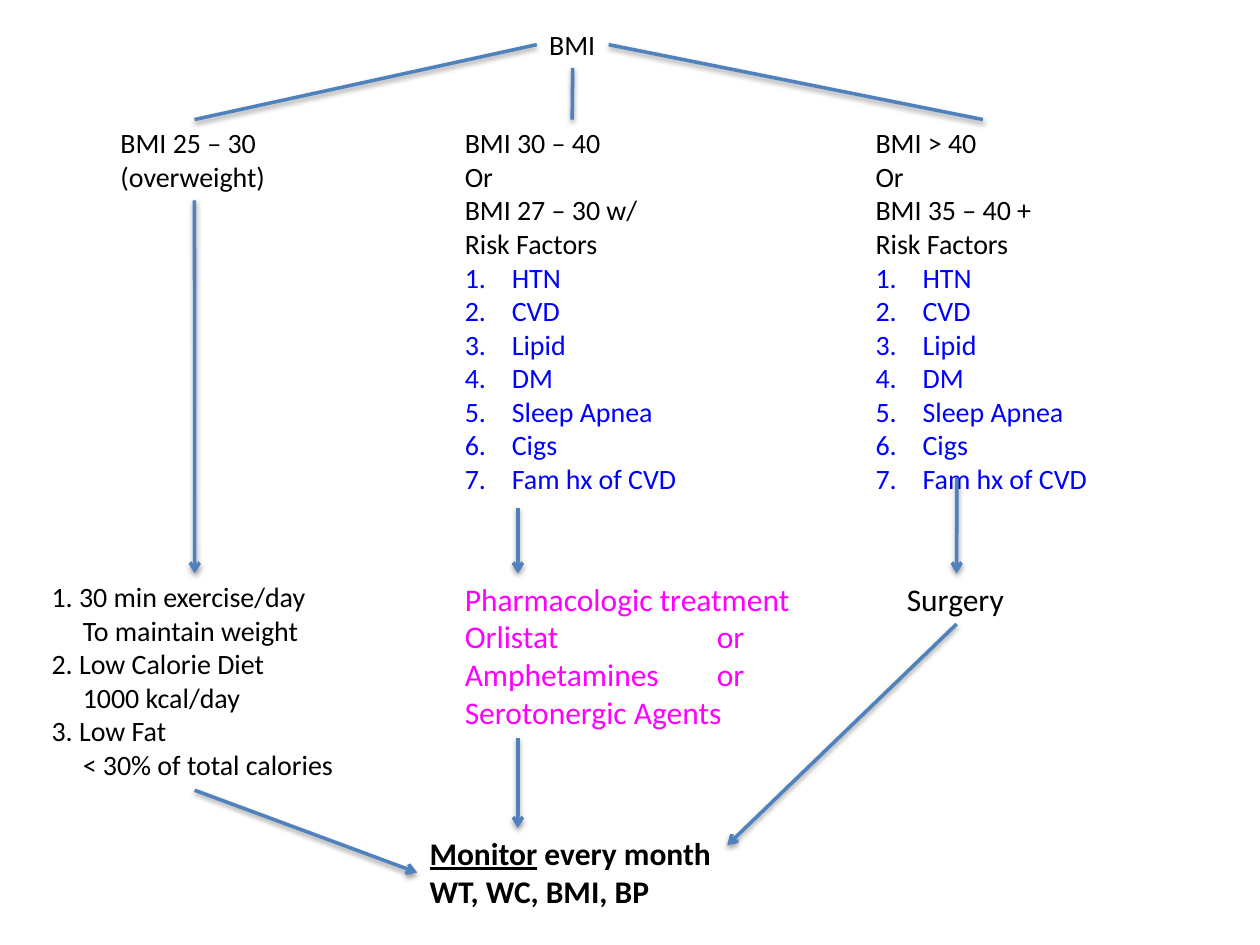
"""Build a one-slide flow chart of weight management by BMI class."""
from typing import NamedTuple, Optional, Union

from lxml import etree
from pptx import Presentation
from pptx.dml.color import RGBColor
from pptx.enum.shapes import MSO_CONNECTOR
from pptx.enum.text import MSO_AUTO_SIZE
from pptx.oxml.ns import qn
from pptx.util import Cm, Pt

STRAIGHT = MSO_CONNECTOR.STRAIGHT
FIT_TEXT = MSO_AUTO_SIZE.SHAPE_TO_FIT_TEXT
TOP, LEFT, BOTTOM, RIGHT = range(4)
BLACK, BLUE, MAGENTA, STEEL = "000000", "0000FF", "FF00FF", "4F81BD"
CLASS_TOP, TREATMENT_TOP, MONITOR_TOP = 2.41, 11.56, 16.69
DRUG_LEFT, DRUG_ARROW = 9.12, 10.44
NUMBER_INDENT, DETAIL_INDENT, OR_TAB = 0.95, 0.63, 5.08


class Line(NamedTuple):
    text: str
    color: str = BLACK
    indent: float = 0
    numbered: bool = False
    tab: float = 0
    bold: bool = False
    underlined_lead: str = ""


class Step(NamedTuple):
    left: float
    top: float
    width: float
    height: float
    lines: list[Line]
    size: int = 16


class Side(NamedTuple):
    step: str
    index: int


class Point(NamedTuple):
    x: float
    y: float


class Link(NamedTuple):
    start: Union[Side, Point]
    end: Union[Side, Point]
    arrow: bool = True


RISK_FACTORS = [
    Line(name, BLUE, NUMBER_INDENT, numbered=True)
    for name in ("HTN", "CVD", "Lipid", "DM", "Sleep Apnea", "Cigs", "Fam hx of CVD")
]


def plain(*texts: str) -> list[Line]:
    """Return black lines without indent."""
    return [Line(text) for text in texts]


STEPS = {
    "bmi": Step(10.82, 0.43, 1.45, 0.94, plain("BMI")),
    "overweight": Step(2.18, CLASS_TOP, 3.48, 1.63, plain("BMI 25 – 30", "(overweight)")),
    "obese": Step(
        DRUG_LEFT, CLASS_TOP, 4.83, 8.46,
        plain("BMI 30 – 40", "Or", "BMI 27 – 30 w/", "Risk Factors") + RISK_FACTORS),
    "severe": Step(
        17.4, CLASS_TOP, 4.83, 8.46,
        plain("BMI > 40", "Or", "BMI 35 – 40 +", "Risk Factors") + RISK_FACTORS),
    "lifestyle": Step(0.79, TREATMENT_TOP, 6.27, 4.37, [
        Line("1. 30 min exercise/day"),
        Line("To maintain weight", indent=DETAIL_INDENT),
        Line("2. Low Calorie Diet"),
        Line("1000 kcal/day", indent=DETAIL_INDENT),
        Line("3. Low Fat"),
        Line("< 30% of total calories", indent=DETAIL_INDENT),
    ]),
    "surgery": Step(18.03, TREATMENT_TOP, 2.51, 1.02, plain("Surgery"), 18),
    "drugs": Step(DRUG_LEFT, TREATMENT_TOP, 7.16, 3.33, [
        Line("Pharmacologic treatment", MAGENTA),
        Line("Orlistat\tor", MAGENTA, tab=OR_TAB),
        Line("Amphetamines\tor", MAGENTA, tab=OR_TAB),
        Line("Serotonergic Agents", MAGENTA),
    ], 18),
    "monitor": Step(8.41, MONITOR_TOP, 6.27, 1.8, [
        Line(" every month", bold=True, underlined_lead="Monitor"),
        Line("WT, WC, BMI, BP", bold=True),
    ], 18),
}

LINKS = [
    Link(Side("bmi", LEFT), Side("overweight", TOP), arrow=False),
    Link(Side("bmi", BOTTOM), Side("obese", TOP), arrow=False),
    Link(Side("bmi", RIGHT), Side("severe", TOP), arrow=False),
    Link(Side("overweight", BOTTOM), Side("lifestyle", TOP)),
    Link(Point(DRUG_ARROW, 10.24), Point(DRUG_ARROW, TREATMENT_TOP)),
    Link(Point(19.29, 9.63), Side("surgery", TOP)),
    Link(Side("lifestyle", BOTTOM), Side("monitor", LEFT)),
    Link(Point(DRUG_ARROW, 14.88), Point(DRUG_ARROW, MONITOR_TOP)),
    Link(Side("surgery", BOTTOM), Point(14.66, 17.04)),
]


def rgb(color: str) -> RGBColor:
    """Turn a hex string into a colour."""
    return RGBColor.from_string(color)


def add_text(paragraph, text: str, *, size: int, color: str = BLACK,
             bold: Optional[bool] = None, underline: Optional[bool] = None) -> None:
    """Append one formatted run to a paragraph."""
    run = paragraph.add_run()
    run.text = text
    run.font.name = "Calibri"
    run.font.size = Pt(size)
    run.font.color.rgb = rgb(color)
    run.font.bold = bold
    run.font.underline = underline


def set_layout(paragraph, line: Line) -> None:
    """Give a paragraph its indent, numbering and tab stop."""
    properties = paragraph._p.get_or_add_pPr()
    if line.indent:
        properties.set("marL", str(Cm(line.indent)))
    if line.numbered:
        properties.set("indent", str(-Cm(line.indent)))
        etree.SubElement(properties, qn("a:buFont"), typeface="+mj-lt")
        etree.SubElement(properties, qn("a:buAutoNum"), type="arabicPeriod")
    if line.tab:
        stops = etree.SubElement(properties, qn("a:tabLst"))
        etree.SubElement(stops, qn("a:tab"), pos=str(Cm(line.tab)), algn="l")


def add_step(slide, step: Step):
    """Draw one text block of the chart and return it."""
    block = slide.shapes.add_textbox(
        Cm(step.left), Cm(step.top), Cm(step.width), Cm(step.height))
    frame = block.text_frame
    frame.word_wrap = False
    frame.auto_size = FIT_TEXT
    for number, line in enumerate(step.lines):
        paragraph = frame.add_paragraph() if number else frame.paragraphs[0]
        set_layout(paragraph, line)
        bold = line.bold or None
        if line.underlined_lead:
            add_text(paragraph, line.underlined_lead, size=step.size,
                     color=line.color, bold=bold, underline=True)
        add_text(paragraph, line.text, size=step.size, color=line.color, bold=bold)
    return block


def add_shadow(connector) -> None:
    """Give a connector a soft shadow straight below it."""
    effects = etree.SubElement(connector._element.spPr, qn("a:effectLst"))
    shadow = etree.SubElement(
        effects, qn("a:outerShdw"), blurRad=str(Pt(3.1)), dist=str(Pt(1.6)),
        dir="5400000", rotWithShape="0")
    tint = etree.SubElement(shadow, qn("a:srgbClr"), val=BLACK)
    etree.SubElement(tint, qn("a:alpha"), val="38000")


def add_link(slide, link: Link, blocks: dict) -> None:
    """Draw one line between two steps or points."""
    start, end = (
        place if isinstance(place, Point) else Point(0, 0)
        for place in (link.start, link.end))
    connector = slide.shapes.add_connector(
        STRAIGHT, Cm(start.x), Cm(start.y), Cm(end.x), Cm(end.y))
    if isinstance(link.start, Side):
        connector.begin_connect(blocks[link.start.step], link.start.index)
    if isinstance(link.end, Side):
        connector.end_connect(blocks[link.end.step], link.end.index)
    connector.line.color.rgb = rgb(STEEL)
    connector.line.width = Pt(2)
    if link.arrow:
        etree.SubElement(connector.line._get_or_add_ln(), qn("a:tailEnd"), type="arrow")
    add_shadow(connector)


def main() -> None:
    """Build and save the slide."""
    deck = Presentation()
    deck.slide_width, deck.slide_height = Cm(25.4), Cm(19.05)
    slide = deck.slides.add_slide(deck.slide_layouts[6])
    blocks = {name: add_step(slide, step) for name, step in STEPS.items()}
    for link in LINKS:
        add_link(slide, link, blocks)
    deck.save("out.pptx")


if __name__ == "__main__":
    main()
